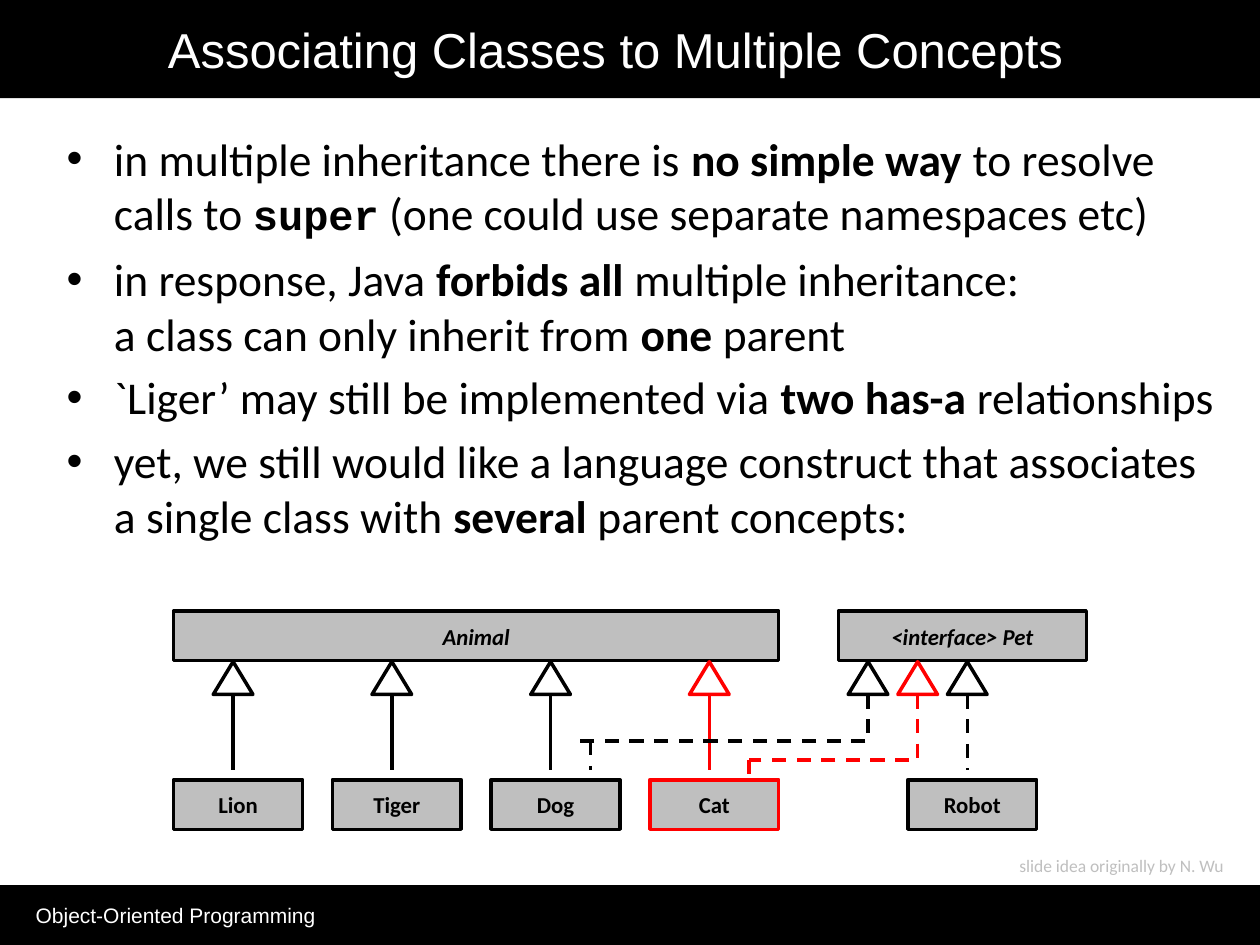
import pptx
import pptx.util
import pptx.dml.color
import pptx.enum.dml
import pptx.enum.shapes
import pptx.enum.text
import pptx.oxml.ns
import pptx.oxml.xmlchemy

Cm = pptx.util.Cm
Pt = pptx.util.Pt
SHAPES = pptx.enum.shapes.MSO_SHAPE
CONNECTORS = pptx.enum.shapes.MSO_CONNECTOR
ALIGN = pptx.enum.text.PP_ALIGN
ANCHOR = pptx.enum.text.MSO_ANCHOR

COLOURS = {"black": "000000", "white": "FFFFFF", "grey": "BFBFBF", "red": "FF0000"}
WIDTH, HEIGHT = 25.4, 19.05
BOX_WIDTH, BOX_HEIGHT = 2.6, 1.0
TRIANGLE_WIDTH, TRIANGLE_HEIGHT = 0.8, 0.66

BULLETS = [
    [("in multiple inheritance there is ", ""), ("no simple way ", "bold"),
     ("to resolve calls to ", ""), ("super", "code"),
     (" (one could use separate namespaces etc)", "")],
    [("in response, Java ", ""), ("forbids all ", "bold"),
     ("multiple inheritance: ", ""), ("", "break"),
     ("a class can only inherit from ", ""), ("one", "bold"), (" parent", "")],
    [("`Liger’ may still be implemented via ", ""), ("two has-a", "bold"),
     (" relationships", "")],
    [("yet, we still would like a language construct that associates "
      "a single class with ", ""), ("several", "bold"), (" parent concepts:", "")],
]


def colour(name):
    return pptx.dml.color.RGBColor.from_string(COLOURS[name])


def format_font(font, name, size, colour_name, bold=False, italic=False):
    font.name = name
    font.size = Pt(size)
    font.bold = bold
    font.italic = italic
    font.color.rgb = colour(colour_name)


def place(shape, left, top, width, height):
    shape.left, shape.top = Cm(left), Cm(top)
    shape.width, shape.height = Cm(width), Cm(height)


def add_outlined(slide, kind, left, top, width, height, fill, line):
    shape = slide.shapes.add_shape(kind, Cm(left), Cm(top), Cm(width), Cm(height))
    shape.shadow.inherit = False
    shape.fill.solid()
    shape.fill.fore_color.rgb = colour(fill)
    shape.line.color.rgb = colour(line)
    shape.line.width = Pt(2)
    return shape


def add_class(slide, name, left, top, width=BOX_WIDTH, line="black", italic=False):
    shape = add_outlined(slide, SHAPES.RECTANGLE, left, top, width, BOX_HEIGHT, "grey", line)
    frame = shape.text_frame
    frame.text = name
    frame.vertical_anchor = ANCHOR.MIDDLE
    frame.paragraphs[0].alignment = ALIGN.CENTER
    format_font(frame.paragraphs[0].runs[0].font, "Calibri", 13, "black", True, italic)


def add_line(slide, start, end, line="black", width=2, dashed=False, kind=CONNECTORS.STRAIGHT):
    connector = slide.shapes.add_connector(kind, *(Cm(value) for value in (*start, *end)))
    connector.line.color.rgb = colour(line)
    connector.line.width = Pt(width)
    if dashed:
        connector.line.dash_style = pptx.enum.dml.MSO_LINE.DASH
    connector._element.spPr.append(pptx.oxml.xmlchemy.OxmlElement("a:effectLst"))
    return connector


def add_corner(slide, start, end, line):
    across, down = start[0] - end[0], end[1] - start[1]
    middle_x, middle_y = (start[0] + end[0]) / 2, (start[1] + end[1]) / 2
    connector = add_line(slide, (middle_x - down / 2, middle_y - across / 2),
                         (middle_x + down / 2, middle_y + across / 2),
                         line, dashed=True, kind=CONNECTORS.ELBOW)
    properties = connector._element.spPr
    properties.find(pptx.oxml.ns.qn("a:xfrm")).set("rot", "5400000")
    properties.find(pptx.oxml.ns.qn("a:prstGeom")).set("prst", "bentConnector2")


def add_triangle(slide, left, top, line="black"):
    add_outlined(slide, SHAPES.ISOSCELES_TRIANGLE, left, top,
                 TRIANGLE_WIDTH, TRIANGLE_HEIGHT, "white", line)
    return left + TRIANGLE_WIDTH / 2, top + TRIANGLE_HEIGHT


def add_bar(slide, top, height):
    bar = slide.shapes.add_shape(SHAPES.RECTANGLE, 0, Cm(top), Cm(WIDTH), Cm(height))
    bar.shadow.inherit = False
    bar.fill.solid()
    bar.fill.fore_color.rgb = colour("black")
    bar.line.fill.background()
    slide.shapes._spTree.insert(2, bar._element)


def add_label(slide, text, left, top, width, height, font_name, size, colour_name):
    label = slide.shapes.add_textbox(Cm(left), Cm(top), Cm(width), Cm(height))
    label.text_frame.word_wrap = True
    label.text_frame.text = text
    format_font(label.text_frame.paragraphs[0].runs[0].font, font_name, size, colour_name)
    return label


def add_header(slide, height):
    add_bar(slide, 0, height)
    title = slide.shapes.title
    place(title, 0.58, 0, 23.65, height)
    title.text_frame.text = "Associating Classes to Multiple Concepts"
    title.text_frame.vertical_anchor = ANCHOR.MIDDLE
    paragraph = title.text_frame.paragraphs[0]
    paragraph.alignment = ALIGN.CENTER
    format_font(paragraph.runs[0].font, "Arial", 28, "white")


def add_footer(slide, top):
    add_bar(slide, top, HEIGHT - top)
    add_line(slide, (0, top), (WIDTH, top), width=0.75)
    label = add_label(slide, "Object-Oriented Programming", 0, top + 0.2, WIDTH, 0.76,
                      "Arial", 12, "white")
    label.text_frame.margin_left = Cm(0.72)


def add_bullets(slide, left, top, width, height):
    body = slide.placeholders[1]
    place(body, left, top, width, height)
    frame = body.text_frame
    frame.auto_size = pptx.enum.text.MSO_AUTO_SIZE.NONE
    for index, pieces in enumerate(BULLETS):
        paragraph = frame.add_paragraph() if index else frame.paragraphs[0]
        for text, style in pieces:
            if style == "break":
                paragraph.add_line_break()
                continue
            run = paragraph.add_run()
            run.text = text
            if style == "code":
                format_font(run.font, "Courier New", 24, "black", True)
            else:
                format_font(run.font, "Calibri", 26, "black", style == "bold")


def add_diagram(slide, left, top):
    triangle_top = top + BOX_HEIGHT + 0.02
    line_end, class_top = top + 3.2, top + 3.4
    add_class(slide, "Animal", left, top, 12.2, italic=True)
    for index, name in enumerate(["Lion", "Tiger", "Dog", "Cat"]):
        line = "red" if name == "Cat" else "black"
        class_left = left + 3.2 * index
        add_class(slide, name, class_left, class_top, line=line)
        base = add_triangle(slide, class_left + 0.8, triangle_top, line)
        add_line(slide, base, (base[0], line_end), line)

    add_class(slide, "<interface> Pet", left + 13.4, top, 5, italic=True)
    add_class(slide, "Robot", left + 14.8, class_top)
    robot_base = add_triangle(slide, left + 15.6, triangle_top)
    add_line(slide, robot_base, (robot_base[0], line_end), dashed=True)
    cat_base = add_triangle(slide, left + 14.6, triangle_top, "red")
    dog_base = add_triangle(slide, left + 13.6, triangle_top)

    dog_turn, cat_turn = top + 2.62, top + 3
    cat_x, dog_x = left + 11.6, left + 8.4
    add_corner(slide, dog_base, (dog_x - 0.2, dog_turn), "black")
    add_corner(slide, cat_base, (cat_x, cat_turn), "red")
    add_line(slide, (cat_x, cat_turn), (cat_x, class_top), "red", dashed=True)
    add_line(slide, (dog_x, dog_turn), (dog_x, line_end), dashed=True)


def main():
    presentation = pptx.Presentation()
    presentation.slide_width, presentation.slide_height = Cm(WIDTH), Cm(HEIGHT)
    slide = presentation.slides.add_slide(presentation.slide_layouts[1])
    add_header(slide, 1.98)
    add_footer(slide, 17.86)
    add_bullets(slide, 1.09, 2.51, 23.8, 13.82)
    add_diagram(slide, 3.5, 12.32)
    add_label(slide, "slide idea originally by N. Wu", 20.3, 17.12, 6, 0.69,
              "Calibri", 10, "grey")
    presentation.save("out.pptx")


if __name__ == "__main__":
    main()
